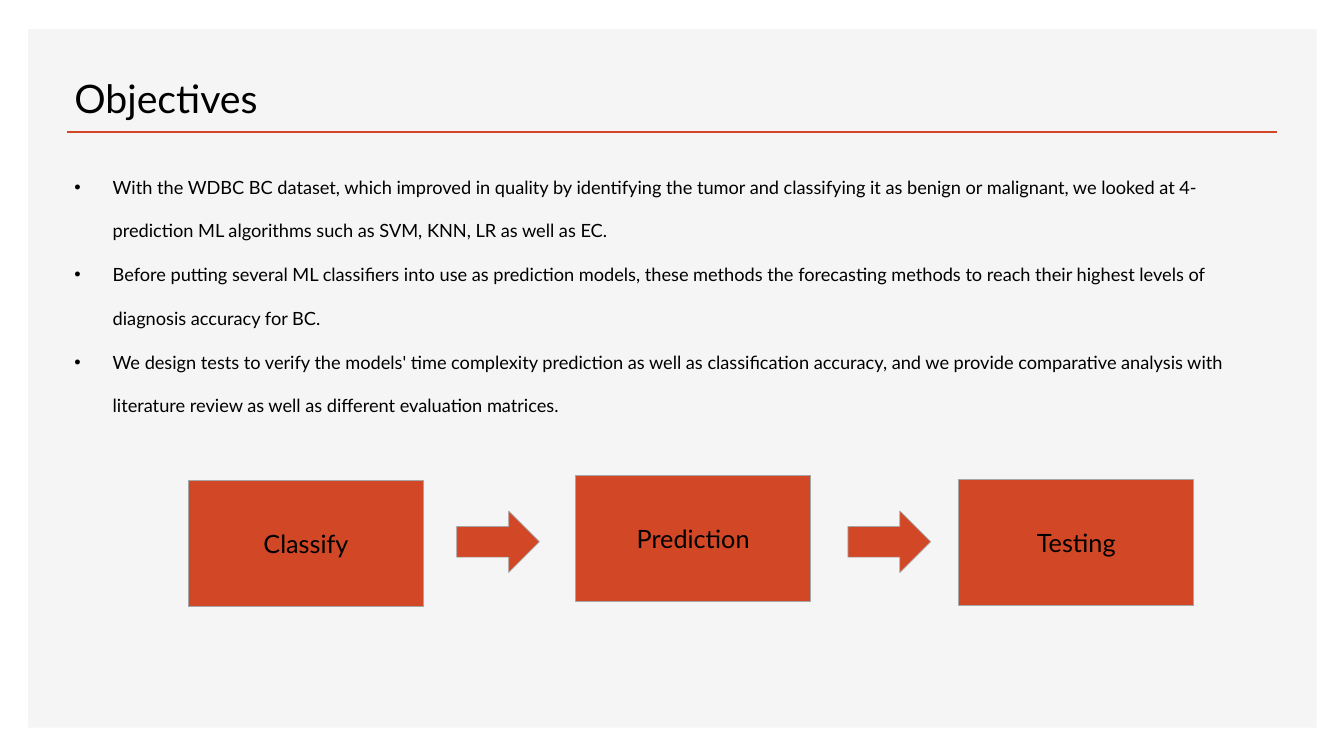
from lxml import etree
from pptx import Presentation
from pptx.dml.color import RGBColor
from pptx.enum.shapes import MSO_CONNECTOR, MSO_SHAPE
from pptx.enum.text import MSO_ANCHOR, PP_ALIGN
from pptx.oxml.ns import qn
from pptx.util import Inches, Pt

RECT, ARROW = MSO_SHAPE.RECTANGLE, MSO_SHAPE.RIGHT_ARROW
LINE = MSO_CONNECTOR.STRAIGHT
TOP, MIDDLE, BOTTOM = MSO_ANCHOR.TOP, MSO_ANCHOR.MIDDLE, MSO_ANCHOR.BOTTOM
LEFT, CENTER = PP_ALIGN.LEFT, PP_ALIGN.CENTER

TITLE = "Objectives"
POINTS = [
    "With the WDBC BC dataset, which improved in quality by identifying the tumor and classifying it as benign or malignant, we looked at 4-prediction ML algorithms such as SVM, KNN, LR as well as EC.",
    "Before putting several ML classifiers into use as prediction models, these methods the forecasting methods to reach their highest levels of diagnosis accuracy for BC.",
    "We design tests to verify the models' time complexity prediction as well as classification accuracy, and we provide comparative analysis with literature review as well as different evaluation matrices.",
]
STEPS = [("Classify", 1.87, 4.77), ("Prediction", 5.71, 4.72), ("Testing", 9.51, 4.76)]
ARROWS = [4.53, 8.41]
FONT = "Lato"
PANEL, ACCENT, EDGE, INK = "F5F5F5", "D24726", "A5A5A5", "000000"


def color(code):
    return RGBColor.from_string(code)


def write(shape, lines, size, align=LEFT, anchor=TOP):
    frame = shape.text_frame
    frame.word_wrap = True
    frame.vertical_anchor = anchor
    frame.text = "\n".join(lines)
    for para in frame.paragraphs:
        para.alignment = align
        for run in para.runs:
            run.font.name = FONT
            run.font.size = Pt(size)
            run.font.color.rgb = color(INK)
    return frame.paragraphs


def block(kind, box, fill, edge=None):
    shape = slide.shapes.add_shape(kind, *map(Inches, box))
    shape.shadow.inherit = False
    shape.fill.solid()
    shape.fill.fore_color.rgb = color(fill)
    if edge:
        shape.line.color.rgb = color(edge)
        shape.line.width = Pt(0.5)
    else:
        shape.line.fill.background()
    return shape


def label(box, lines, size, anchor=TOP):
    shape = slide.shapes.add_textbox(*map(Inches, box))
    return write(shape, lines, size, anchor=anchor)


def bullet(para):
    props = para._p.get_or_add_pPr()
    props.set("marL", str(Inches(0.38)))
    props.set("indent", str(-Inches(0.38)))
    etree.SubElement(props, qn("a:buFont")).set("typeface", "Arial")
    etree.SubElement(props, qn("a:buChar")).set("char", "•")


deck = Presentation()
deck.slide_width, deck.slide_height = Inches(13.33), Inches(7.5)
slide = deck.slides.add_slide(deck.slide_layouts[6])

block(RECT, (0.28, 0.29, 12.78, 6.93), PANEL)
rule = slide.shapes.add_connector(LINE, *map(Inches, (0.66, 1.31, 12.67, 1.31)))
rule.line.color.rgb = color(ACCENT)
rule.line.width = Pt(2)
etree.SubElement(rule._element.spPr, qn("a:effectLst"))

label((0.64, 0.64, 12.25, 0.61), [TITLE], 28, BOTTOM)
for para in label((0.64, 1.48, 12.06, 6), POINTS, 13):
    para.line_spacing = 2.0
    bullet(para)

for name, left, top in STEPS:
    step = block(RECT, (left, top, 2.33, 1.25), ACCENT, EDGE)
    write(step, [name], 18, CENTER, MIDDLE)
for left in ARROWS:
    block(ARROW, (left, 5.07, 0.82, 0.61), ACCENT, EDGE)

deck.save("out.pptx")
